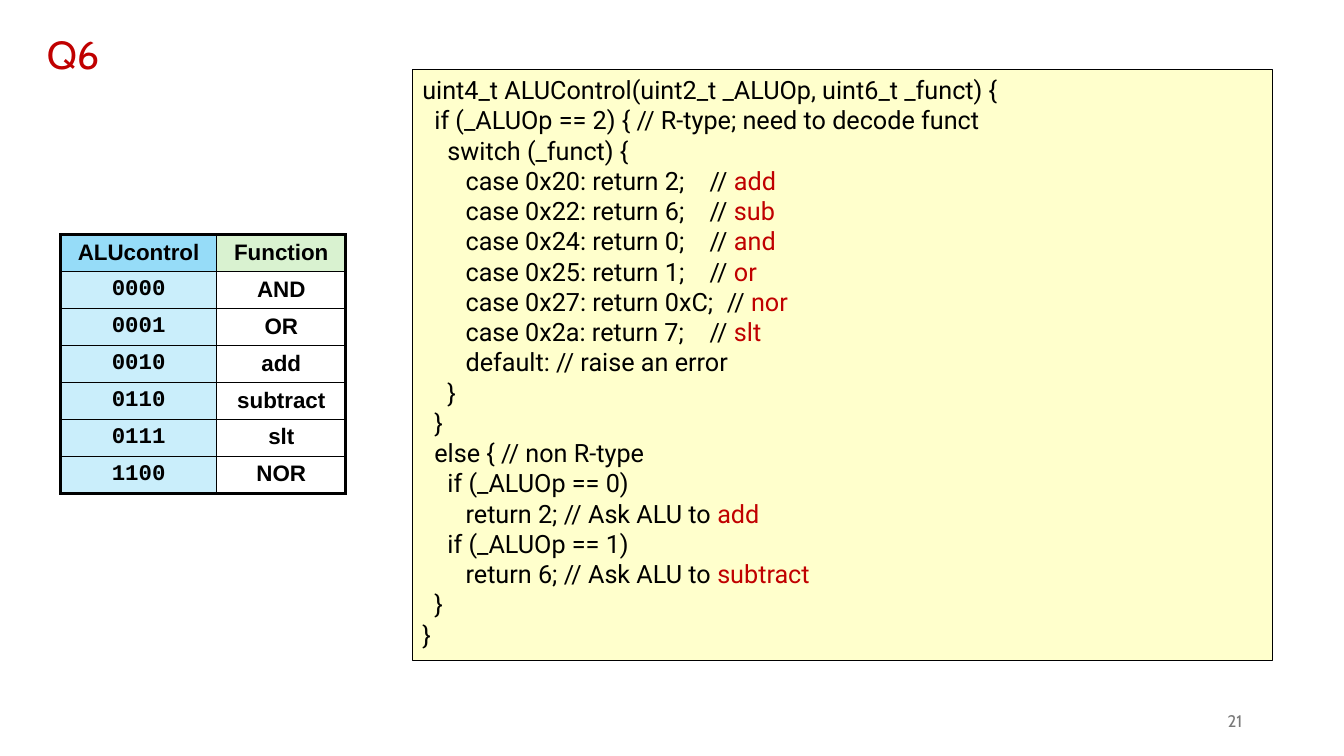
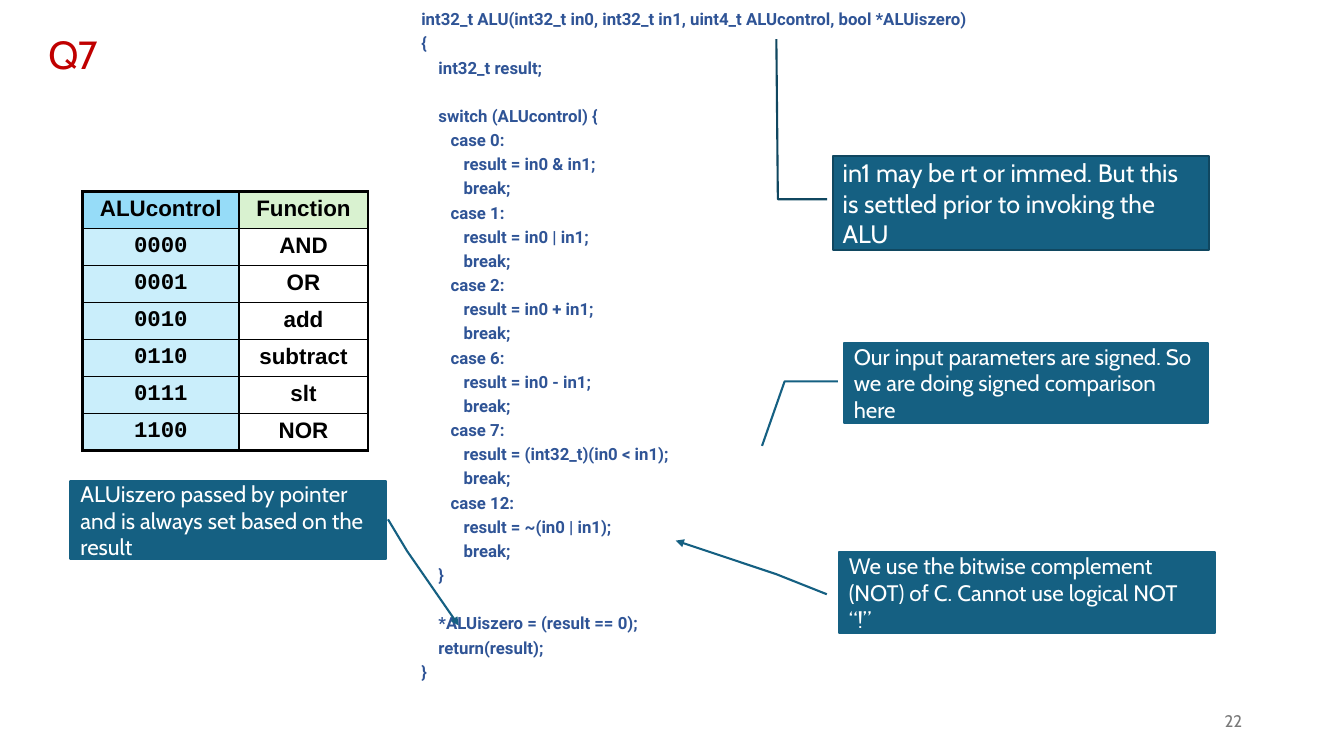
from dataclasses import dataclass

import lxml.etree
import pptx
import pptx.dml.color
import pptx.enum.shapes
import pptx.enum.text
import pptx.oxml.ns
import pptx.shapes.autoshape
import pptx.slide
import pptx.table
import pptx.text.text
import pptx.util

Inches = pptx.util.Inches
Slide = pptx.slide.Slide
Align = pptx.enum.text.PP_ALIGN
Anchor = pptx.enum.text.MSO_ANCHOR
qn = pptx.oxml.ns.qn


@dataclass(frozen=True)
class Theme:
    red: str = "C00000"
    black: str = "000000"
    white: str = "FFFFFF"
    gray: str = "797979"
    code_blue: str = "2F5496"
    code_fill: str = "FFFFCC"
    callout_fill: str = "156082"
    callout_edge: str = "104760"
    header_fills: tuple[str, str] = ("96DCF8", "D9F2D0")
    body_fills: tuple[str, str] = ("CAEEFB", "FFFFFF")
    title_font: str = "Cabin"
    code_font: str = "Roboto"
    table_font: str = "Arial"
    bits_font: str = "Courier New"
    title_size: int = 28
    large_size: int = 18
    medium_size: int = 16
    small_size: int = 12


THEME = Theme()


@dataclass(frozen=True)
class Area:
    left: float
    top: float
    width: float
    height: float

    def lengths(self) -> tuple[int, int, int, int]:
        return (Inches(self.left), Inches(self.top),
                Inches(self.width), Inches(self.height))


@dataclass(frozen=True)
class Style:
    font: str
    size: int
    color: str
    bold: bool = False


@dataclass(frozen=True)
class CodeLine:
    level: int
    text: str
    accent: str = ""
    gap_before: bool = False


@dataclass(frozen=True)
class CodeStyle:
    text: Style
    tab_stops: tuple[float, ...]
    line_spacing: float = 1.0


@dataclass(frozen=True)
class Callout:
    area: Area
    text: str
    leader: tuple[float, ...]
    size: int = THEME.medium_size
    edge: str = THEME.callout_fill
    arrow: bool = False


CONTROL_ROWS = (
    ("ALUcontrol", "Function"),
    ("0000", "AND"),
    ("0001", "OR"),
    ("0010", "add"),
    ("0110", "subtract"),
    ("0111", "slt"),
    ("1100", "NOR"),
)

FUNCT_CASES = (
    ("0x20", "2", "add"),
    ("0x22", "6", "sub"),
    ("0x24", "0", "and"),
    ("0x25", "1", "or"),
    ("0x27", "0xC", "nor"),
    ("0x2a", "7", "slt"),
)

CONTROL_CODE = (
    CodeLine(0, "uint4_t ALUControl(uint2_t _ALUOp, uint6_t _funct) {"),
    CodeLine(1, "if (_ALUOp == 2) { // R-type; need to decode funct"),
    CodeLine(2, "switch (_funct) {"),
    *(CodeLine(3, f"case {funct}: return {code};\t// ", name)
      for funct, code, name in FUNCT_CASES),
    CodeLine(3, "default: // raise an error"),
    CodeLine(2, "}"),
    CodeLine(1, "}"),
    CodeLine(1, "else { // non R-type"),
    CodeLine(2, "if (_ALUOp == 0)"),
    CodeLine(3, "return 2; // Ask ALU to ", "add"),
    CodeLine(2, "if (_ALUOp == 1)"),
    CodeLine(3, "return 6; // Ask ALU to ", "subtract"),
    CodeLine(1, "}"),
    CodeLine(0, "}"),
)

ALU_CASES = (
    (0, "in0 & in1"),
    (1, "in0 | in1"),
    (2, "in0 + in1"),
    (6, "in0 - in1"),
    (7, "(int32_t)(in0 < in1)"),
    (12, "~(in0 | in1)"),
)

ALU_CODE = (
    CodeLine(0, "int32_t ALU(int32_t in0, int32_t in1, uint4_t ALUcontrol, bool *ALUiszero)"),
    CodeLine(0, "{"),
    CodeLine(1, "int32_t result;"),
    CodeLine(1, "switch (ALUcontrol) {", gap_before=True),
    *(line for code, result in ALU_CASES for line in (
        CodeLine(2, f"case {code}:"),
        CodeLine(3, f"result = {result};"),
        CodeLine(3, "break;"))),
    CodeLine(1, "}"),
    CodeLine(1, "*ALUiszero = (result == 0);", gap_before=True),
    CodeLine(1, "return(result);"),
    CodeLine(0, "}"),
)

CONTROL_STYLE = CodeStyle(Style(THEME.code_font, THEME.large_size, THEME.black),
                          (0.12, 0.25, 0.43, 2.85, 3.02))
ALU_STYLE = CodeStyle(Style(THEME.code_font, THEME.small_size, THEME.code_blue, True),
                      (0.17, 0.29, 0.42), 1.2)

CALLOUTS = (
    Callout(Area(8.26, 1.55, 3.73, 0.93),
            "in1 may be rt or immed. But this is settled prior to invoking the ALU",
            (0.46, -0.015, 0.46, -0.146, -1.25, -0.15),
            THEME.large_size, THEME.callout_edge),
    Callout(Area(8.37, 3.4, 3.61, 0.8),
            "Our input parameters are signed. So we are doing signed comparison here",
            (0.48, -0.017, 0.48, -0.163, 1.28, -0.225)),
    Callout(Area(8.32, 5.48, 3.73, 0.8),
            "We use the bitwise complement (NOT) of C. Cannot use logical NOT “!”",
            (0.52, -0.032, 0.27, -0.167, -0.146, -0.434), arrow=True),
    Callout(Area(0.7, 4.77, 3.13, 0.78),
            "ALUiszero passed by pointer and is always set based on the result",
            (0.49, 1.006, 0.89, 1.066, 1.84, 1.23), arrow=True),
)


def rgb(color: str) -> pptx.dml.color.RGBColor:
    return pptx.dml.color.RGBColor.from_string(color)


def add_span(para: pptx.text.text._Paragraph, text: str, style: Style) -> None:
    span = para.add_run()
    span.text = text
    span.font.name = style.font
    span.font.size = pptx.util.Pt(style.size)
    span.font.bold = style.bold
    span.font.color.rgb = rgb(style.color)


def add_page(deck: pptx.presentation.Presentation, title: str, number: int) -> Slide:
    page = deck.slides.add_slide(deck.slide_layouts[5])
    heading = page.shapes.title
    heading.left, heading.top, heading.width, heading.height = Area(
        0.23, 0.25, 0.99, 0.57).lengths()
    frame = heading.text_frame
    frame.auto_size = pptx.enum.text.MSO_AUTO_SIZE.NONE
    frame.vertical_anchor = Anchor.TOP
    frame.paragraphs[0].alignment = Align.CENTER
    add_span(frame.paragraphs[0], title,
             Style(THEME.title_font, THEME.title_size, THEME.red))

    footer = page.shapes.add_textbox(*Area(9.42, 6.95, 3, 0.4).lengths()).text_frame
    footer.word_wrap = True
    footer.vertical_anchor = Anchor.MIDDLE
    footer.paragraphs[0].alignment = Align.RIGHT
    add_span(footer.paragraphs[0], str(number),
             Style(THEME.title_font, THEME.small_size, THEME.gray))
    return page


def add_box(page: Slide, kind: pptx.enum.shapes.MSO_SHAPE, area: Area, fill: str,
            edge: str, weight: float) -> pptx.shapes.autoshape.Shape:
    box = page.shapes.add_shape(kind, *area.lengths())
    box.shadow.inherit = False
    box.fill.solid()
    box.fill.fore_color.rgb = rgb(fill)
    box.line.color.rgb = rgb(edge)
    box.line.width = pptx.util.Pt(weight)
    return box


def write_code(box: pptx.shapes.autoshape.Shape, lines: tuple[CodeLine, ...],
               style: CodeStyle) -> None:
    frame = box.text_frame
    frame.word_wrap = True
    frame.vertical_anchor = Anchor.TOP
    accent = Style(style.text.font, style.text.size, THEME.red)
    for index, line in enumerate(lines):
        para = frame.add_paragraph() if index else frame.paragraphs[0]
        para.alignment = Align.LEFT
        para.line_spacing = style.line_spacing
        if line.gap_before:
            para.space_before = pptx.util.Pt(style.text.size * 1.2 * style.line_spacing)
        tabs = lxml.etree.SubElement(para._p.get_or_add_pPr(), qn("a:tabLst"))
        for stop in style.tab_stops:
            lxml.etree.SubElement(tabs, qn("a:tab"), pos=str(Inches(stop)), algn="l")
        add_span(para, "\t" * line.level + line.text, style.text)
        if line.accent:
            add_span(para, line.accent, accent)


def set_borders(cell: pptx.table._Cell, weights: dict[str, float]) -> None:
    properties = cell._tc.get_or_add_tcPr()
    for index, (side, weight) in enumerate(weights.items()):
        line = lxml.etree.Element(qn(f"a:ln{side}"), w=str(pptx.util.Pt(weight)))
        fill = lxml.etree.SubElement(line, qn("a:solidFill"))
        lxml.etree.SubElement(fill, qn("a:srgbClr"), val=THEME.black)
        properties.insert(index, line)


def add_control_table(page: Slide, area: Area) -> None:
    last_row, last_column = len(CONTROL_ROWS) - 1, len(CONTROL_ROWS[0]) - 1
    table = page.shapes.add_table(last_row + 1, last_column + 1, *area.lengths()).table
    table.first_row = table.horz_banding = False
    table.columns[0].width = Inches(1.55)
    table.columns[1].width = Inches(area.width - 1.55)
    for row, labels in enumerate(CONTROL_ROWS):
        for column, label in enumerate(labels):
            cell = table.cell(row, column)
            fills = THEME.body_fills if row else THEME.header_fills
            cell.fill.solid()
            cell.fill.fore_color.rgb = rgb(fills[column])
            outer = {"L": column == 0, "R": column == last_column,
                     "T": row == 0, "B": row == last_row}
            set_borders(cell, {side: 2.25 if edge else 1 for side, edge in outer.items()})
            para = cell.text_frame.paragraphs[0]
            para.alignment = Align.CENTER
            font = THEME.bits_font if row and column == 0 else THEME.table_font
            add_span(para, label, Style(font, THEME.medium_size, THEME.black, True))


def add_callout(page: Slide, callout: Callout) -> None:
    box = add_box(page, pptx.enum.shapes.MSO_SHAPE.LINE_CALLOUT_2, callout.area,
                  THEME.callout_fill, callout.edge, 1.5)
    for index, value in enumerate(callout.leader):
        box.adjustments[index] = value
    if callout.arrow:
        lxml.etree.SubElement(box.line._get_or_add_ln(), qn("a:tailEnd"), type="triangle")
    frame = box.text_frame
    frame.word_wrap = True
    frame.vertical_anchor = Anchor.MIDDLE
    frame.paragraphs[0].alignment = Align.LEFT
    add_span(frame.paragraphs[0], callout.text,
             Style(THEME.title_font, callout.size, THEME.white))


def main() -> None:
    deck = pptx.Presentation()
    deck.slide_width, deck.slide_height = Inches(13.33), Inches(7.5)

    control_page = add_page(deck, "Q6", 21)
    code_box = add_box(control_page, pptx.enum.shapes.MSO_SHAPE.RECTANGLE,
                       Area(4.09, 0.69, 8.53, 5.86), THEME.code_fill, THEME.black, 0.75)
    write_code(code_box, CONTROL_CODE, CONTROL_STYLE)
    add_control_table(control_page, Area(0.6, 2.33, 2.83, 2.57))

    alu_page = add_page(deck, "Q7", 22)
    code_text = alu_page.shapes.add_textbox(*Area(4.08, 0, 7.71, 6.86).lengths())
    write_code(code_text, ALU_CODE, ALU_STYLE)
    for callout in CALLOUTS:
        add_callout(alu_page, callout)
    add_control_table(alu_page, Area(0.82, 1.9, 2.83, 2.47))

    deck.save("out.pptx")


if __name__ == "__main__":
    main()
